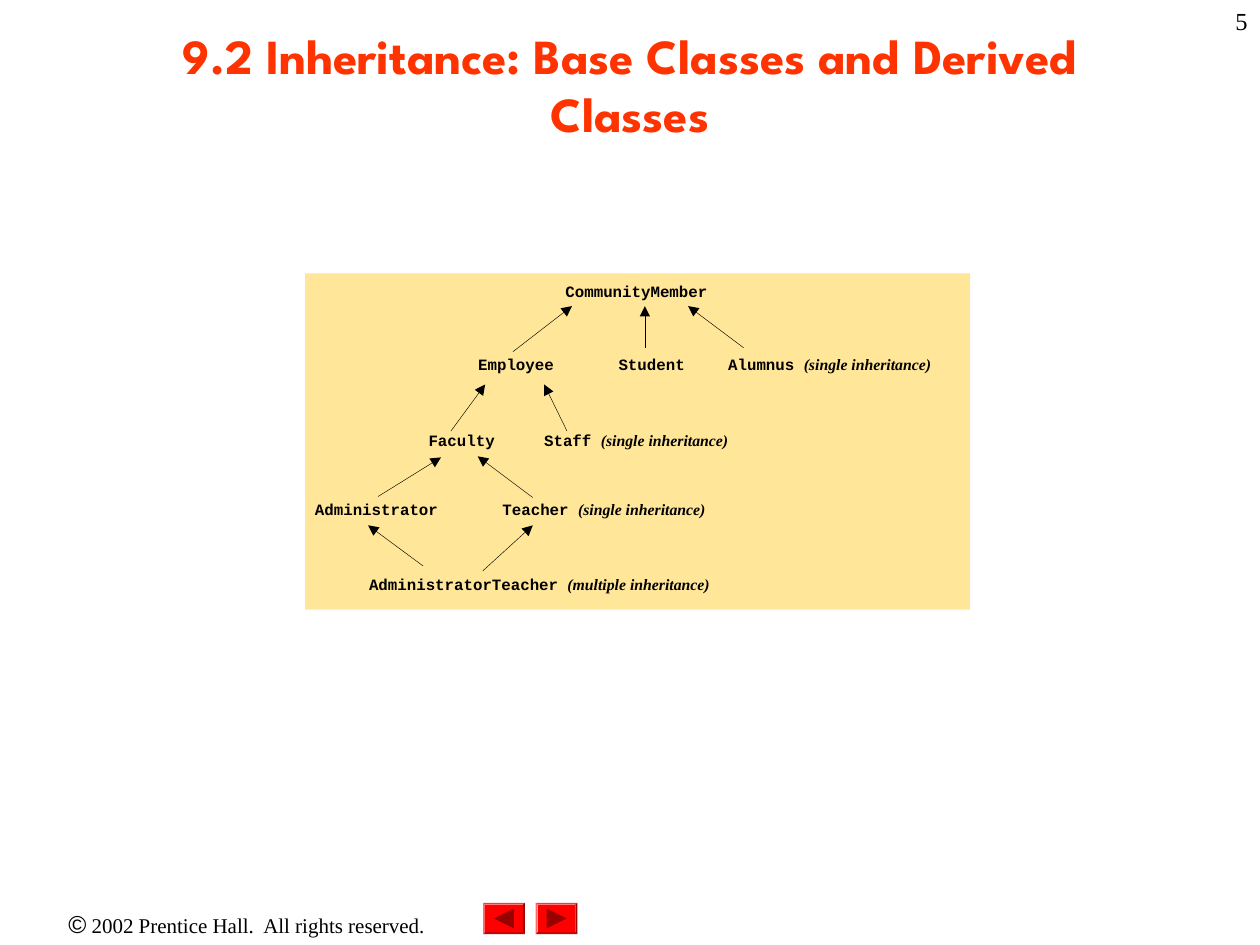
from dataclasses import dataclass

from lxml import etree
from pptx import Presentation
from pptx import util as u
from pptx.dml.color import RGBColor
from pptx.enum import shapes, text
from pptx.oxml.ns import qn


@dataclass
class Theme:
    title: str = "FF3300"
    ink: str = "000000"
    panel: str = "FFE699"
    button: str = "FF0000"
    arrow: str = "990000"
    title_font: str = "League Spartan"
    serif: str = "Times New Roman"
    sans: str = "Arial"
    mono: str = "Courier New"
    title_size: float = 28
    number_size: float = 14
    footer_size: float = 12
    label_size: float = 9
    line_width: float = 0.25


class Builder:
    def __init__(self, s, theme):
        self.s, self.t = s, theme

    def style(self, r, font, size, color=None, bold=False, italic=False):
        f = r.font
        f.name, f.size, f.bold, f.italic = font, u.Pt(size), bold, italic
        f.color.rgb = RGBColor.from_string(color or self.t.ink)

    def title(self, words, x, y, w, h):
        sp = self.s.shapes.title
        sp.left, sp.top, sp.width, sp.height = map(u.Cm, (x, y, w, h))
        tf = sp.text_frame
        tf.text = words
        tf.auto_size = text.MSO_AUTO_SIZE.NONE
        tf.vertical_anchor = text.MSO_ANCHOR.MIDDLE
        p = tf.paragraphs[0]
        p.alignment = text.PP_ALIGN.CENTER
        self.style(p.runs[0], self.t.title_font, self.t.title_size, self.t.title, True)

    def text(self, runs, x, y, w, h, align=text.PP_ALIGN.LEFT, inset=True):
        """Place one line made of (words, style arguments) pairs."""
        tf = self.s.shapes.add_textbox(*map(u.Cm, (x, y, w, h))).text_frame
        tf.word_wrap = True
        if not inset:
            tf.margin_left = tf.margin_right = tf.margin_top = tf.margin_bottom = 0
        p = tf.paragraphs[0]
        p.alignment = align
        for words, look in runs:
            r = p.add_run()
            r.text = words
            self.style(r, **look)
        return p

    def label(self, name, x, y, w, note=""):
        size = self.t.label_size
        runs = [(name + " " if note else name,
                 dict(font=self.t.mono, size=size, bold=True))]
        if note:
            runs.append((f"({note} inheritance)",
                         dict(font=self.t.serif, size=size, bold=True, italic=True)))
        self.text(runs, x, y, w, 0.46, inset=False).line_spacing = 0.88

    def paint(self, sp, color):
        sp.shadow.inherit = False
        sp.fill.solid()
        sp.fill.fore_color.rgb = RGBColor.from_string(color)
        sp.line.fill.background()

    def shape(self, kind, x, y, w, h, color):
        sp = self.s.shapes.add_shape(kind, *map(u.Cm, (x, y, w, h)))
        self.paint(sp, color)
        return sp

    def arrow(self, x1, y1, x2, y2):
        cn = self.s.shapes.add_connector(
            shapes.MSO_CONNECTOR.STRAIGHT, *map(u.Cm, (x1, y1, x2, y2)))
        cn.line.color.rgb = RGBColor.from_string(self.t.ink)
        cn.line.width = u.Pt(self.t.line_width)
        props = cn._element.spPr
        etree.SubElement(props.find(qn("a:ln")), qn("a:tailEnd"), type="triangle")
        etree.SubElement(props, qn("a:effectLst"))

    def button(self, x, y, direction):
        """Draw a bevelled button; direction is -1 for left, 1 for right."""
        w, h = 0.84, 0.63
        sp = self.shape(shapes.MSO_SHAPE.BEVEL, x, y, w, h, self.t.button)
        sp.adjustments[0] = 0.06
        cx, cy, half = x + w / 2, y + h / 2, 0.2
        back, tip = cx - direction * half, cx + direction * half
        fb = self.s.shapes.build_freeform(u.Cm(back), u.Cm(cy - half))
        fb.add_line_segments([(u.Cm(tip), u.Cm(cy)), (u.Cm(back), u.Cm(cy + half))])
        self.paint(fb.convert_to_shape(), self.t.arrow)


def main():
    prs = Presentation()
    prs.slide_width, prs.slide_height = u.Cm(25.4), u.Cm(19.05)
    t = Theme()
    b = Builder(prs.slides.add_slide(prs.slide_layouts[5]), t)

    # Footer and navigation buttons
    b.text([("©", dict(font=t.sans, size=t.number_size)),
            (" 2002 Prentice Hall.  All rights reserved.",
             dict(font=t.serif, size=t.footer_size))],
           0, 18.2, 9.95, 0.86, text.PP_ALIGN.CENTER)
    b.button(10.8, 18.2, 1)
    b.button(9.74, 18.2, -1)

    # Title
    b.title("9.2 Inheritance: Base Classes and Derived Classes", 1.9, 0.21, 21.6, 2.96)

    # Class hierarchy: one row per level, as (name, left, width, note)
    b.shape(shapes.MSO_SHAPE.RECTANGLE, 6.15, 5.51, 13.41, 6.78, t.panel)
    levels = {
        5.72: [("CommunityMember", 11.4, 4.72, "")],
        7.21: [("Employee", 9.64, 2.04, ""), ("Student", 12.47, 1.42, ""),
               ("Alumnus", 14.68, 9.63, "single")],
        8.74: [("Faculty", 8.64, 2.3, ""), ("Staff", 10.97, 5.6, "single")],
        10.13: [("Administrator", 6.35, 3.02, ""), ("Teacher", 10.13, 7.62, "single")],
        11.63: [("AdministratorTeacher", 7.44, 10.67, "multiple")],
    }
    for y, row in levels.items():
        for name, x, w, note in row:
            b.label(name, x, y, w, note)

    # Arrows from derived class to base class
    for ends in [
        (10.34, 7.09, 11.53, 6.17), (13, 7.01, 13, 6.17), (14.99, 7.01, 13.87, 6.17),
        (9.09, 8.69, 9.78, 7.75), (11.43, 8.69, 10.97, 7.75),
        (7.62, 10.01, 8.89, 9.22), (10.74, 10.03, 9.63, 9.2),
        (8.53, 11.41, 7.42, 10.59), (9.73, 11.51, 10.74, 10.59),
    ]:
        b.arrow(*ends)

    # Slide number
    b.text([("5", dict(font=t.serif, size=t.number_size))],
           20.12, 0, 5.28, 1.27, text.PP_ALIGN.RIGHT)

    prs.save("out.pptx")


if __name__ == "__main__":
    main()
